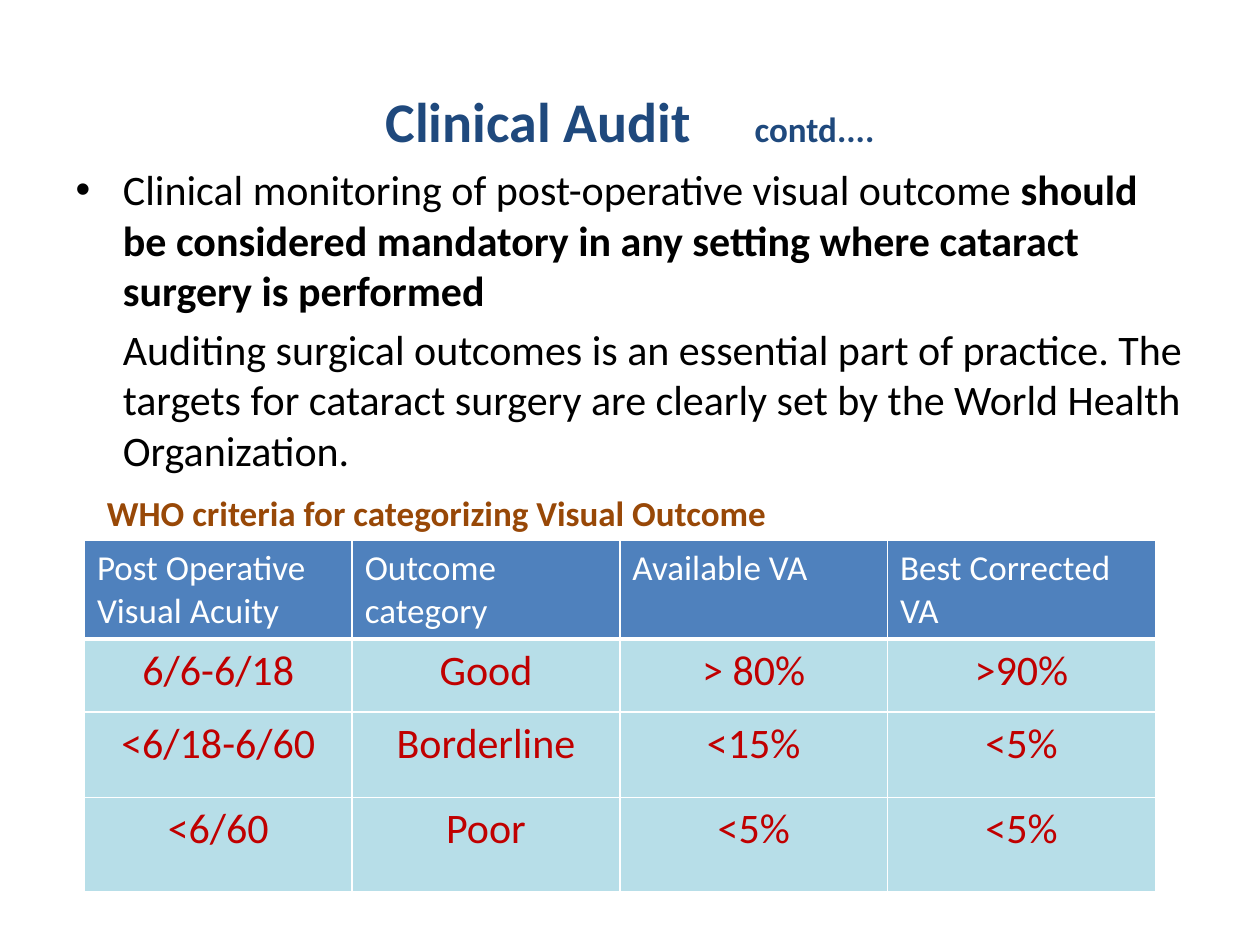
"""Build the clinical audit slide with its visual outcome table."""
from dataclasses import dataclass

from lxml import etree
from pptx import Presentation
from pptx.dml.color import RGBColor
from pptx.enum.text import MSO_ANCHOR, MSO_AUTO_SIZE, PP_ALIGN
from pptx.oxml.ns import qn
from pptx.util import Inches, Pt

CENTER, LEFT = PP_ALIGN.CENTER, PP_ALIGN.LEFT
MIDDLE, TOP = MSO_ANCHOR.MIDDLE, MSO_ANCHOR.TOP
NO_AUTOFIT = MSO_AUTO_SIZE.NONE


@dataclass(frozen=True)
class Theme:
    font: str = "Calibri"
    title: str = "1F497D"
    body: str = "000000"
    caption: str = "984807"
    header_text: str = "FFFFFF"
    header_fill: str = "4F81BD"
    value_text: str = "C00000"
    value_fill: str = "B7DEE8"
    border: str = "FFFFFF"
    title_size: int = 32
    body_size: int = 24
    small_size: int = 20


@dataclass(frozen=True)
class Box:
    left: float
    top: float
    width: float
    height: float

    def lengths(self) -> tuple:
        return tuple(map(Inches, (self.left, self.top, self.width, self.height)))


@dataclass(frozen=True)
class RowStyle:
    size: int
    text: str
    fill: str
    alignment: PP_ALIGN
    bottom_border: float


THEME = Theme()
HEADER = RowStyle(THEME.small_size, THEME.header_text, THEME.header_fill, LEFT, 3)
VALUES = RowStyle(THEME.body_size, THEME.value_text, THEME.value_fill, CENTER, 1)
TITLE_BOX = Box(0.5, 0.58, 9, 0.75)
BODY_BOX = Box(0.5, 1.25, 9, 5.45)
CAPTION_BOX = Box(0.75, 3.85, 8.42, 0.43)
TABLE_BOX = Box(0.67, 4.29, 8.5, 2.78)
ROW_HEIGHTS = (0.77, 0.58, 0.68, 0.75)
TITLE_GAP = 29
OUTCOMES = (
    ("Post Operative Visual Acuity", "Outcome category", "Available VA", "Best Corrected VA"),
    ("6/6-6/18", "Good", "> 80%", ">90%"),
    ("<6/18-6/60", "Borderline", "<15%", "<5%"),
    ("<6/60", "Poor", "<5%", "<5%"),
)


def add_run(paragraph, text: str, size: int, color: str, bold: bool = False):
    """Append a formatted run and return it."""
    run = paragraph.add_run()
    run.text = text
    for name, value in {"name": THEME.font, "size": Pt(size), "bold": bold}.items():
        setattr(run.font, name, value)
    run.font.color.rgb = RGBColor.from_string(color)
    return run


def place(shape, box: Box, anchor: MSO_ANCHOR):
    """Move a text shape and return its prepared text frame."""
    for name, value in zip(("left", "top", "width", "height"), box.lengths()):
        setattr(shape, name, value)
    frame = shape.text_frame
    formats = {"word_wrap": True, "auto_size": NO_AUTOFIT, "vertical_anchor": anchor}
    for name, value in formats.items():
        setattr(frame, name, value)
    return frame


def add_title(slide) -> None:
    """Fill the title with its large heading and small continuation mark."""
    paragraph = place(slide.shapes.title, TITLE_BOX, MIDDLE).paragraphs[0]
    paragraph.alignment = CENTER
    add_run(paragraph, "Clinical Audit", THEME.title_size, THEME.title, True)
    gap = add_run(paragraph, " ", THEME.title_size, THEME.title, True)
    gap.font._element.set("spc", str(TITLE_GAP * 100))
    add_run(paragraph, "contd....", THEME.small_size, THEME.title, True)


def add_body(slide) -> None:
    """Fill the body with a bullet and an unbulleted paragraph aligned to it."""
    frame = place(slide.placeholders[1], BODY_BOX, TOP)
    bullet, plain = frame.paragraphs[0], frame.add_paragraph()
    add_run(bullet, "Clinical monitoring of post-operative visual outcome ",
            THEME.body_size, THEME.body)
    add_run(bullet, "should be considered mandatory in any setting where cataract "
            "surgery is performed", THEME.body_size, THEME.body, True)
    add_run(plain, "Auditing surgical outcomes is an essential part of practice. The "
            "targets for cataract surgery are clearly set by the World Health "
            "Organization.", THEME.body_size, THEME.body)
    properties = plain._p.get_or_add_pPr()
    properties.set("marL", str(Inches(0.375)))
    properties.set("indent", "0")
    etree.SubElement(properties, qn("a:buNone"))


def add_caption(slide) -> None:
    """Add the heading above the table."""
    shape = slide.shapes.add_textbox(*CAPTION_BOX.lengths())
    paragraph = place(shape, CAPTION_BOX, TOP).paragraphs[0]
    add_run(paragraph, "WHO criteria for categorizing Visual Outcome",
            THEME.small_size, THEME.caption, True)


def set_borders(cell, widths: dict[str, float]) -> None:
    """Draw solid cell borders ahead of the cell fill."""
    properties = cell._tc.get_or_add_tcPr()
    for position, (side, width) in enumerate(widths.items()):
        line = etree.Element(qn(f"a:{side}"), w=str(Pt(width)))
        fill = etree.SubElement(line, qn("a:solidFill"))
        etree.SubElement(fill, qn("a:srgbClr"), val=THEME.border)
        properties.insert(position, line)


def fill_cell(cell, text: str, style: RowStyle, top_border: float) -> None:
    """Write and format one table cell."""
    cell.fill.solid()
    cell.fill.fore_color.rgb = RGBColor.from_string(style.fill)
    paragraph = cell.text_frame.paragraphs[0]
    paragraph.alignment = style.alignment
    add_run(paragraph, text, style.size, style.text)
    set_borders(cell, {"lnL": 1, "lnR": 1, "lnT": top_border, "lnB": style.bottom_border})


def add_outcome_table(slide) -> None:
    """Add the table of outcome categories and targets."""
    table = slide.shapes.add_table(
        len(OUTCOMES), len(OUTCOMES[0]), *TABLE_BOX.lengths()).table
    for row, height in zip(table.rows, ROW_HEIGHTS):
        row.height = Inches(height)
    for row_index, texts in enumerate(OUTCOMES):
        style = VALUES if row_index else HEADER
        top_border = HEADER.bottom_border if row_index == 1 else 1
        for column_index, text in enumerate(texts):
            fill_cell(table.cell(row_index, column_index), text, style, top_border)


def main() -> None:
    """Build and save the presentation."""
    presentation = Presentation()
    presentation.slide_width, presentation.slide_height = Inches(10), Inches(7.5)
    slide = presentation.slides.add_slide(presentation.slide_layouts[1])
    for add_part in (add_title, add_body, add_outcome_table, add_caption):
        add_part(slide)
    presentation.save("out.pptx")


if __name__ == "__main__":
    main()
